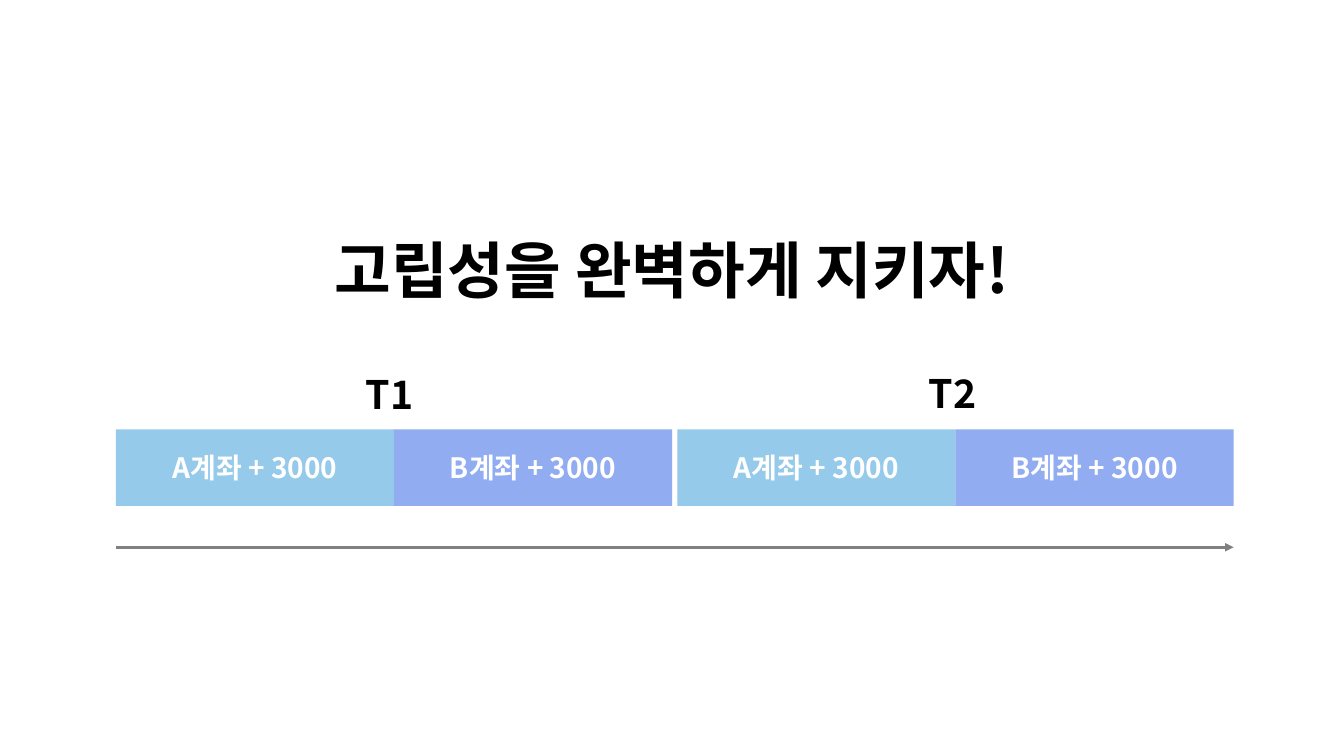
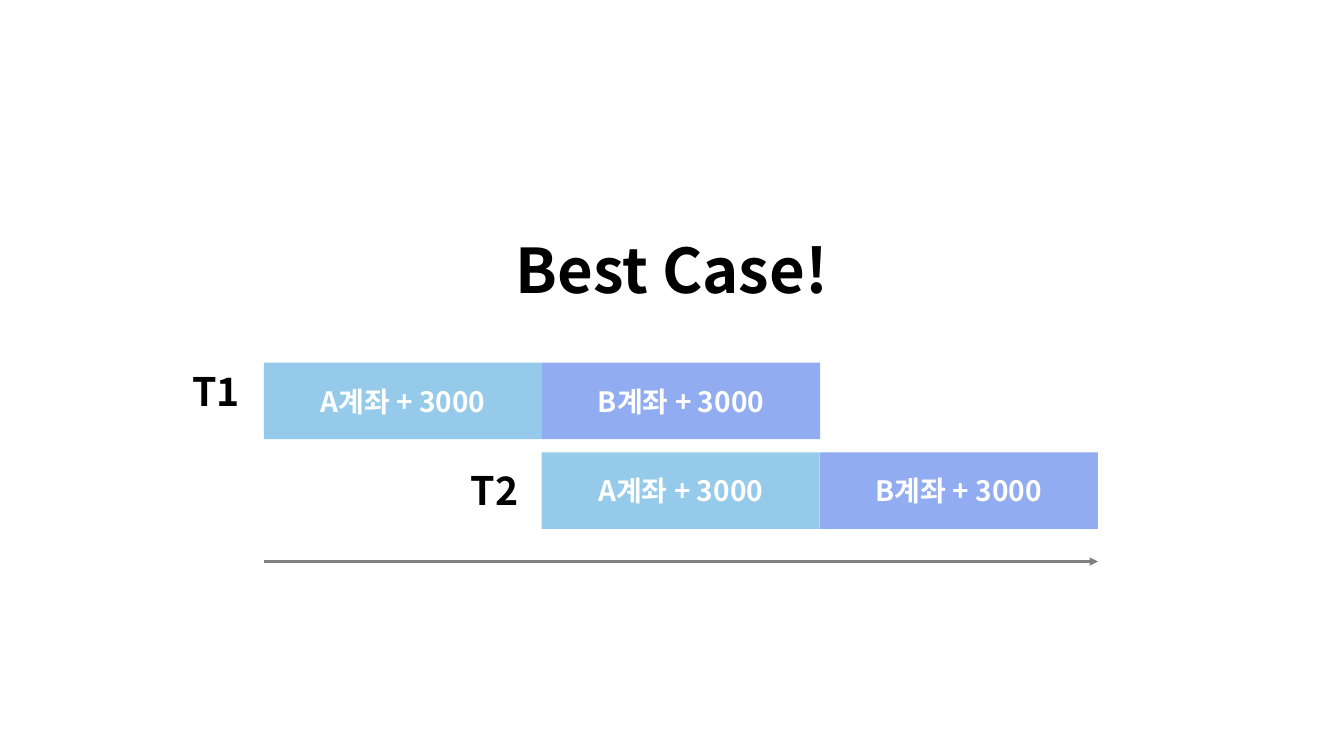
from dataclasses import dataclass

from lxml.etree import SubElement
from pptx import Presentation
from pptx.dml.color import RGBColor
from pptx.enum.shapes import MSO_CONNECTOR as Conn, MSO_SHAPE as Shape
from pptx.enum.text import MSO_ANCHOR as Anchor, PP_ALIGN as Align
from pptx.oxml.ns import qn
from pptx.slide import Slide
from pptx.text.text import TextFrame
from pptx.util import Cm, Pt

FONT = "Noto Sans CJK KR"
COLORS = {"a": "95CAEA", "b": "91ACF1", "text": "000000",
          "bar_text": "FFFFFF", "axis": "808080"}
STEPS = (("a", "A계좌 + 3000"), ("b", "B계좌 + 3000"))
STEP_W, STEP_H = 7.01, 1.93
LABEL_W, LABEL_H = 2.03, 1.93


@dataclass
class Transaction:
    """A name and its two steps; positions in centimetres."""
    name: str
    left: float
    top: float
    label_left: float
    label_top: float

    @property
    def right(self) -> float:
        return self.left + len(STEPS) * STEP_W


@dataclass
class Timeline:
    title: str
    transactions: list[Transaction]
    axis_y: float


TIMELINES = [
    Timeline("고립성을 완벽하게 지키자!", [
        Transaction("T1", 2.92, 10.82, 8.97, 9.04),
        Transaction("T2", 17.07, 10.82, 23.16, 9.02)], 13.79),
    Timeline("Best Case!", [
        Transaction("T1", 6.65, 9.14, 4.6, 8.97),
        Transaction("T2", 13.65, 11.4, 11.61, 11.46)], 14.15),
]


def rgb(name: str) -> RGBColor:
    return RGBColor.from_string(COLORS[name])


def write(tf: TextFrame, text: str, size: int, color: str,
          align: Align, spacing: float = 1.0) -> None:
    tf.text = text
    tf.word_wrap = True
    tf.vertical_anchor = Anchor.MIDDLE
    p = tf.paragraphs[0]
    p.alignment, p.line_spacing = align, spacing
    font = p.runs[0].font
    font.name, font.size, font.bold = FONT, Pt(size), True
    font.color.rgb = rgb(color)
    # Korean glyphs use the East Asian typeface
    SubElement(p.runs[0]._r.get_or_add_rPr(), qn("a:ea"), typeface=FONT)


def add_text(s: Slide, left: float, top: float, width: float, height: float,
             text: str, size: int, align: Align) -> None:
    tb = s.shapes.add_textbox(Cm(left), Cm(top), Cm(width), Cm(height))
    write(tb.text_frame, text, size, "text", align, 0.9)


def add_transaction(s: Slide, t: Transaction) -> None:
    for i, (color, text) in enumerate(STEPS):
        sp = s.shapes.add_shape(Shape.RECTANGLE, Cm(t.left + i * STEP_W),
                                Cm(t.top), Cm(STEP_W), Cm(STEP_H))
        sp.shadow.inherit = False
        sp.fill.solid()
        sp.fill.fore_color.rgb = rgb(color)
        sp.line.fill.background()
        write(sp.text_frame, text, 20, "bar_text", Align.CENTER)
    add_text(s, t.label_left, t.label_top, LABEL_W, LABEL_H,
             t.name, 28, Align.LEFT)


def add_axis(s: Slide, left: float, right: float, y: float) -> None:
    line = s.shapes.add_connector(Conn.STRAIGHT, Cm(left), Cm(y),
                                  Cm(right), Cm(y))
    line.line.color.rgb = rgb("axis")
    line.line.width = Pt(2)
    SubElement(line.line._get_or_add_ln(), qn("a:tailEnd"), type="triangle")
    SubElement(line._element.spPr, qn("a:effectLst"))


def add_timeline(prs: Presentation, timeline: Timeline) -> None:
    s = prs.slides.add_slide(prs.slide_layouts[6])
    add_text(s, 3.99, 4.27, 25.88, 5.26, timeline.title, 44, Align.CENTER)
    for t in timeline.transactions:
        add_transaction(s, t)
    # Time runs from the first step to the last
    add_axis(s, min(t.left for t in timeline.transactions),
             max(t.right for t in timeline.transactions), timeline.axis_y)


def main() -> None:
    prs = Presentation()
    prs.slide_width, prs.slide_height = Cm(33.87), Cm(19.05)
    for timeline in TIMELINES:
        add_timeline(prs, timeline)
    prs.save("out.pptx")


if __name__ == "__main__":
    main()
